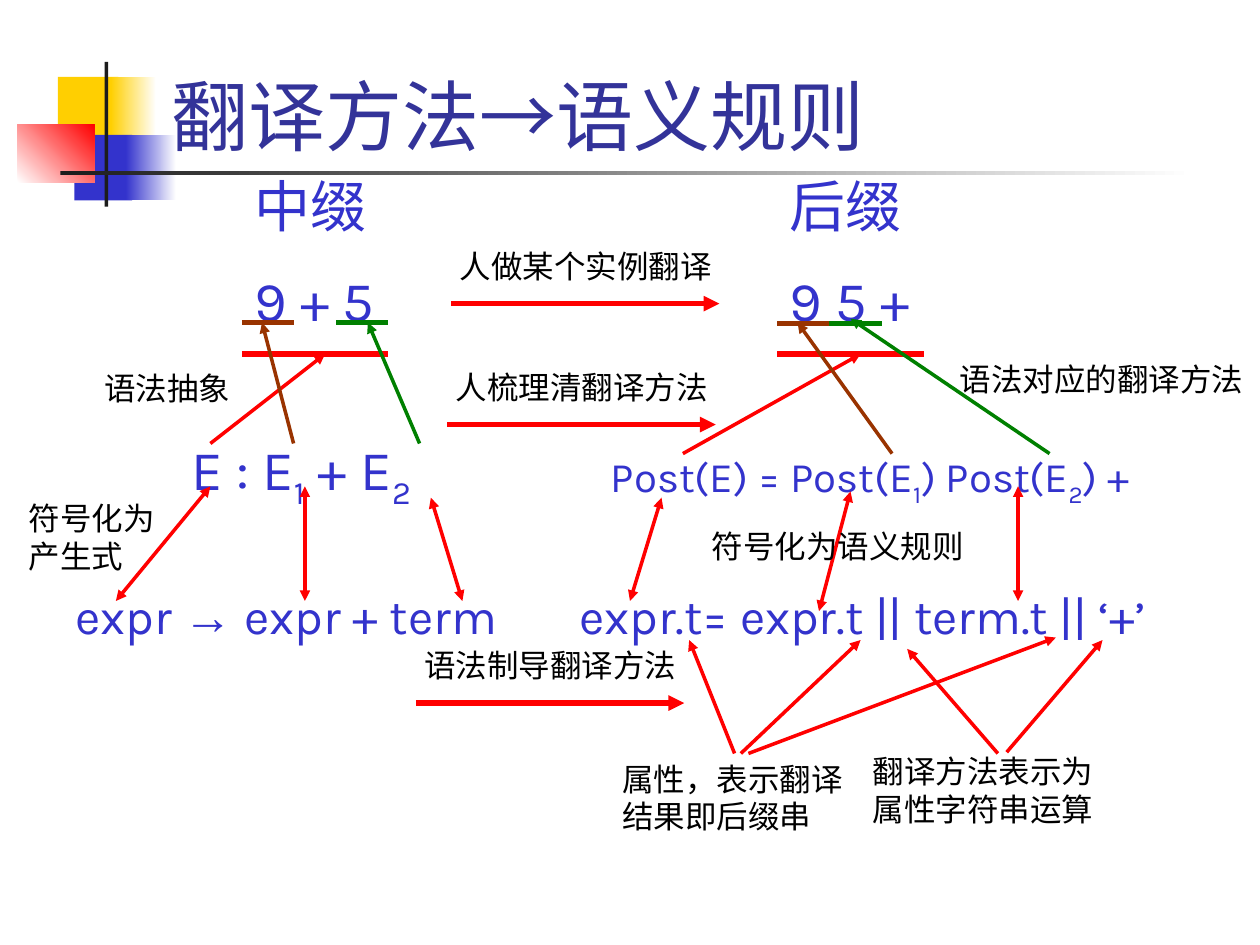
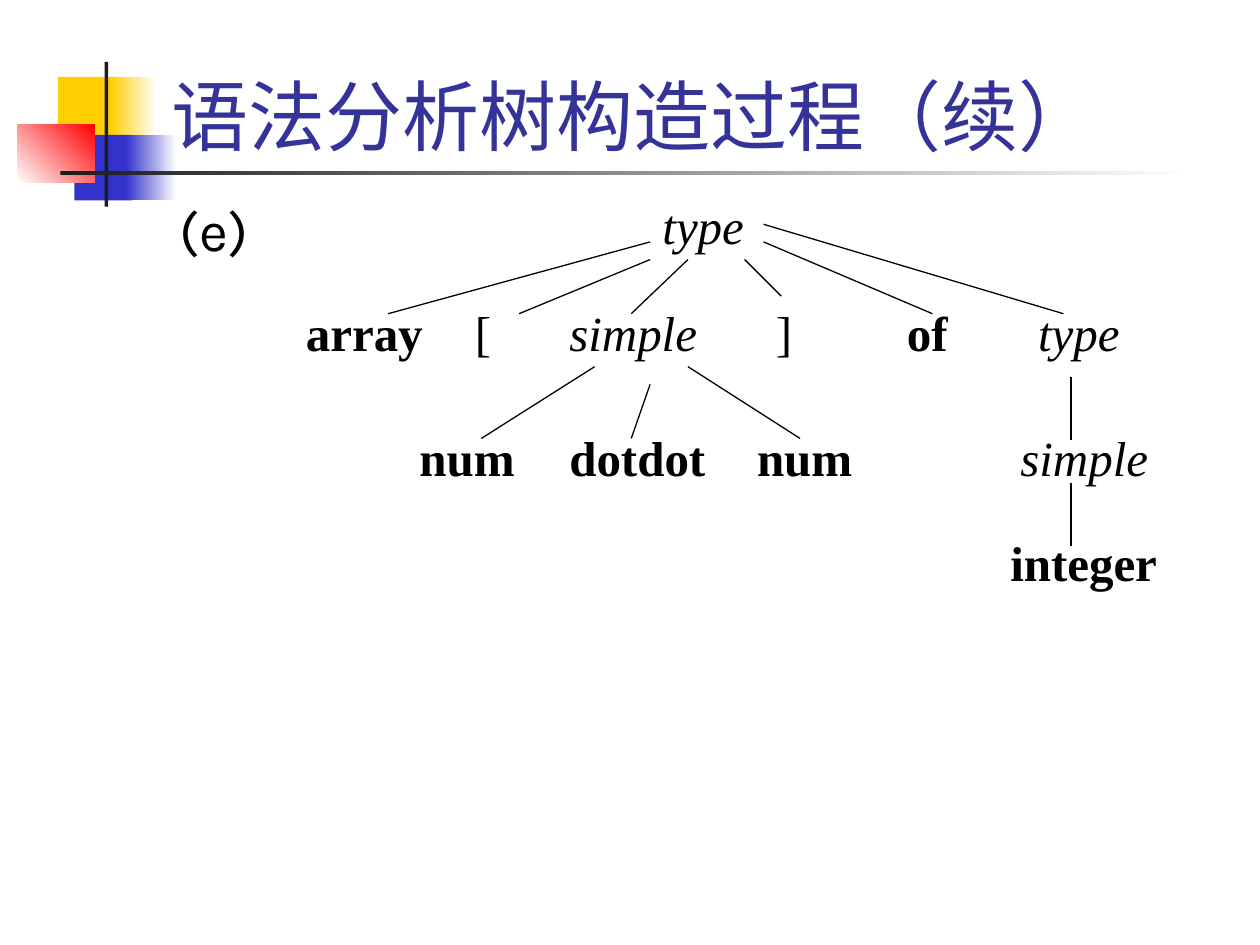
from lxml.etree import SubElement
from pptx import Presentation
from pptx.dml.color import RGBColor
from pptx.enum.shapes import MSO_CONNECTOR as CONN, MSO_SHAPE as SHAPE
from pptx.enum.text import MSO_ANCHOR as ANCHOR
from pptx.oxml.ns import qn
from pptx.util import Inches, Pt

COLORS = {
    "gold": "FFCF01", "blue": "3333CC", "red": "FF0000", "ink": "1C1C1C",
    "white": "FFFFFF", "title": "333399", "black": "000000",
    "brown": "993300", "green": "008000",
}
SANS, SERIF = "Karla", "Times New Roman"
COLUMNS, ROWS = 100, 75


def rgb(name):
    return RGBColor.from_string(COLORS[name])


def with_subscripts(text):
    """Split text into runs; the character after each underscore is lowered."""
    first, *rest = text.split("_")
    runs = [(first, {})]
    for part in rest:
        runs += [(part[0], {"sub": True}), (part[1:], {})]
    return [run for run in runs if run[0]]


class Deck:
    def __init__(self):
        self.prs = Presentation()
        self.prs.slide_width, self.prs.slide_height = Inches(10), Inches(7.5)
        self.s = None

    def x(self, columns):
        return round(self.prs.slide_width * columns / COLUMNS)

    def y(self, rows):
        return round(self.prs.slide_height * rows / ROWS)

    def box(self, left, top, width, height):
        return self.x(left), self.y(top), self.x(width), self.y(height)

    def slide(self, title):
        self.s = self.prs.slides.add_slide(self.prs.slide_layouts[6])
        self.rect(4.6, 6.1, 4.8, 5.2, "gold")
        self.rect(8.8, 6.1, 3.6, 5.2, "gold", "white")
        self.rect(5.9, 10.7, 4.6, 5.2, "blue")
        self.rect(10, 10.7, 4, 5.2, "blue", "white")
        self.rect(1.4, 9.9, 6.1, 4.6, "white", "red", angle=45)
        self.rect(8.3, 4.9, 0.3, 11.5, "ink")
        self.rect(4.8, 13.6, 90, 0.3, "ink", "white")
        self.text(title, 12.6, 0.8, 85.2, 12.5, 44, "title", SERIF,
                  anchor=ANCHOR.BOTTOM)

    def rect(self, left, top, width, height, color, fade_to=None, angle=0):
        sp = self.s.shapes.add_shape(SHAPE.RECTANGLE,
                                     *self.box(left, top, width, height))
        sp.shadow.inherit = False
        sp.line.fill.background()
        if fade_to is None:
            sp.fill.solid()
            sp.fill.fore_color.rgb = rgb(color)
            return
        sp.fill.gradient()
        sp.fill.gradient_angle = angle
        stops = zip(sp.fill.gradient_stops, (color, fade_to), (0, 1))
        for stop, name, position in stops:
            stop.color.rgb = rgb(name)
            stop.position = position

    def text(self, content, left, top, width, height, size, color="black",
             font=SANS, bold=False, italic=False, anchor=ANCHOR.TOP):
        """Place a string, or a list of (string, run style) pairs."""
        sp = self.s.shapes.add_textbox(*self.box(left, top, width, height))
        tf = sp.text_frame
        tf.word_wrap = True
        tf.vertical_anchor = anchor
        p = tf.paragraphs[0]
        styles = [{}]
        if isinstance(content, str):
            p.text = content
            styles *= len(p.runs)
        else:
            styles = [style for _, style in content]
            for piece, _ in content:
                p.add_run().text = piece
        for r, style in zip(p.runs, styles):
            r.font.size = Pt(size)
            r.font.name = style.get("font", font)
            r.font.bold, r.font.italic = bold, italic
            r.font.color.rgb = rgb(color)
            if style.get("sub"):
                r.font._element.set("baseline", "-25000")

    def line(self, x1, y1, x2, y2, color="black", width=0.75, ends=()):
        """Draw a line; ends may hold headEnd (start) and tailEnd (finish)."""
        c = self.s.shapes.add_connector(CONN.STRAIGHT, self.x(x1), self.y(y1),
                                        self.x(x2), self.y(y2))
        c.line.color.rgb = rgb(color)
        c.line.width = Pt(width)
        sp_pr = c._element.spPr
        for end in ends:
            SubElement(sp_pr.find(qn("a:ln")), qn("a:" + end), type="triangle")
        SubElement(sp_pr, qn("a:effectLst"))

    def arrow(self, x1, y1, x2, y2, color="red", width=2):
        self.line(x1, y1, x2, y2, color, width, ["tailEnd"])

    def double_arrow(self, x1, y1, x2, y2):
        self.line(x1, y1, x2, y2, "red", 2, ["headEnd", "tailEnd"])


def translation_slide(deck):
    deck.slide("翻译方法→语义规则")

    for left, heading, example in ((19.2, "中缀", "9 + 5"),
                                   (61.7, "后缀", "9 5 +")):
        deck.text(heading, left, 13.1, 16.7, 6.3, 32, "blue")
        deck.text(example, left, 20.6, 16.7, 6.3, 32, "blue")
        deck.line(left, 28.1, left + 11.6, 28.1, "red", 3)

    production = [("expr ", {}), ("→ ", {"font": SERIF}), ("expr + term", {})]
    formulas = (
        (with_subscripts("E : E_1 + E_2"), 14.2, 34, 25, 6.3, 32),
        (with_subscripts("Post(E) = Post(E_1) Post(E_2) +"),
         47.5, 35.3, 45.8, 5, 24),
        (production, 5, 46, 43.3, 5.7, 28),
        ("expr.t= expr.t || term.t || ‘+’", 45, 46, 53, 5.7, 28),
    )
    for formula in formulas:
        deck.text(*formula, "blue")

    for left, right, row, color in ((19.2, 23.3, 25.6, "brown"),
                                    (26.7, 30.8, 25.6, "green"),
                                    (61.7, 65.8, 25.7, "brown"),
                                    (65.8, 70, 25.7, "green")):
        deck.line(left, row, right, row, color, 3)

    abstractions = (
        (16.7, 35.2, 25.8, 28.1, "red"), (23.3, 35.2, 20.8, 25.6, "brown"),
        (33.3, 35.2, 29.2, 25.6, "green"), (54.2, 36, 68.3, 28.1, "red"),
        (70.8, 36, 63.3, 25.6, "brown"), (83.3, 36, 67.5, 25.3, "green"),
    )
    attribute_uses = (
        (58.3, 59.8, 54.7, 50.8), (58.8, 59.8, 68.3, 50.8),
        (59.4, 59.8, 83.8, 50.6), (79.2, 59.8, 72, 51.5),
        (79.9, 59.7, 87.5, 50.8),
    )
    for ends in abstractions + attribute_uses:
        deck.arrow(*ends)

    for ends in ((9.2, 47.7, 16.7, 38.6), (24.2, 47.7, 24.2, 38.6),
                 (36.7, 47.7, 34.2, 39.5), (50, 47.7, 52.5, 39.5),
                 (65, 48.5, 67.5, 39), (80.8, 47.7, 80.8, 38.6)):
        deck.double_arrow(*ends)

    for step, left, top in (("人做某个实例翻译", 35.5, 19.1),
                            ("人梳理清翻译方法", 35.2, 28.7),
                            ("语法制导翻译方法", 32.7, 50.8)):
        deck.text(step, left, top, 22.8, 4, 18)
        deck.arrow(left + 0.3, top + 5, left + 21.6, top + 5, width=3)

    for note in (("语法抽象", 7.3, 28.8, 13.6, 4),
                 ("语法对应的翻译方法", 75.2, 28.1, 24.8, 4),
                 ("符号化为产生式", 1.3, 39.1, 13.6, 7.1),
                 ("符号化为语义规则", 55.5, 41.3, 24.8, 4),
                 ("属性，表示翻译\v结果即后缀串", 48.4, 59.8, 19.5, 7.1),
                 ("翻译方法表示为\v属性字符串运算", 68.3, 59.2, 21, 7.1)):
        deck.text(*note, 18)


def parse_tree_slide(deck):
    deck.slide("语法分析树构造过程（续）")
    deck.text("(e)", 13.3, 15, 8.3, 45.8, 32)

    nonterminals = ("type", "simple")
    brackets = ("[", "]")
    levels = {
        15: (("type", 51.6, 22.3),),
        23.5: (("array", 23.3, 22.3), ("[", 36.7, 22.3),
               ("simple", 44.2, 22.3), ("]", 60.6, 22.3),
               ("of", 71, 22.3), ("type", 81.4, 10.4)),
        33.4: (("num", 32.3, 20.9), ("dotdot", 44.2, 20.9),
               ("num", 59.1, 20.9), ("simple", 80, 13.3)),
        41.8: (("integer", 79.2, 15),),
    }
    for top, nodes in levels.items():
        for symbol, left, width in nodes:
            deck.text(symbol, left, top, width, 5.7, 28, font=SERIF,
                      bold=symbol not in nonterminals + brackets,
                      italic=symbol in nonterminals)

    root_edges = ((51.6, 19.2, 30.8, 24.9), (51.6, 20.6, 41.2, 24.9),
                  (54.6, 20.6, 50.1, 24.9), (59.1, 20.6, 62, 23.5),
                  (60.6, 19.2, 74, 24.9), (60.6, 17.8, 84.4, 24.9))
    range_edges = ((47.2, 29.1, 38.2, 34.8), (51.6, 30.5, 50.1, 34.8),
                   (54.6, 29.1, 63.5, 34.8))
    element_edges = ((85, 29.9, 85, 34.9), (85, 38.3, 85, 43.3))
    for edge in root_edges + range_edges + element_edges:
        deck.line(*edge)


def main():
    deck = Deck()
    translation_slide(deck)
    parse_tree_slide(deck)
    deck.prs.save("out.pptx")


if __name__ == "__main__":
    main()
